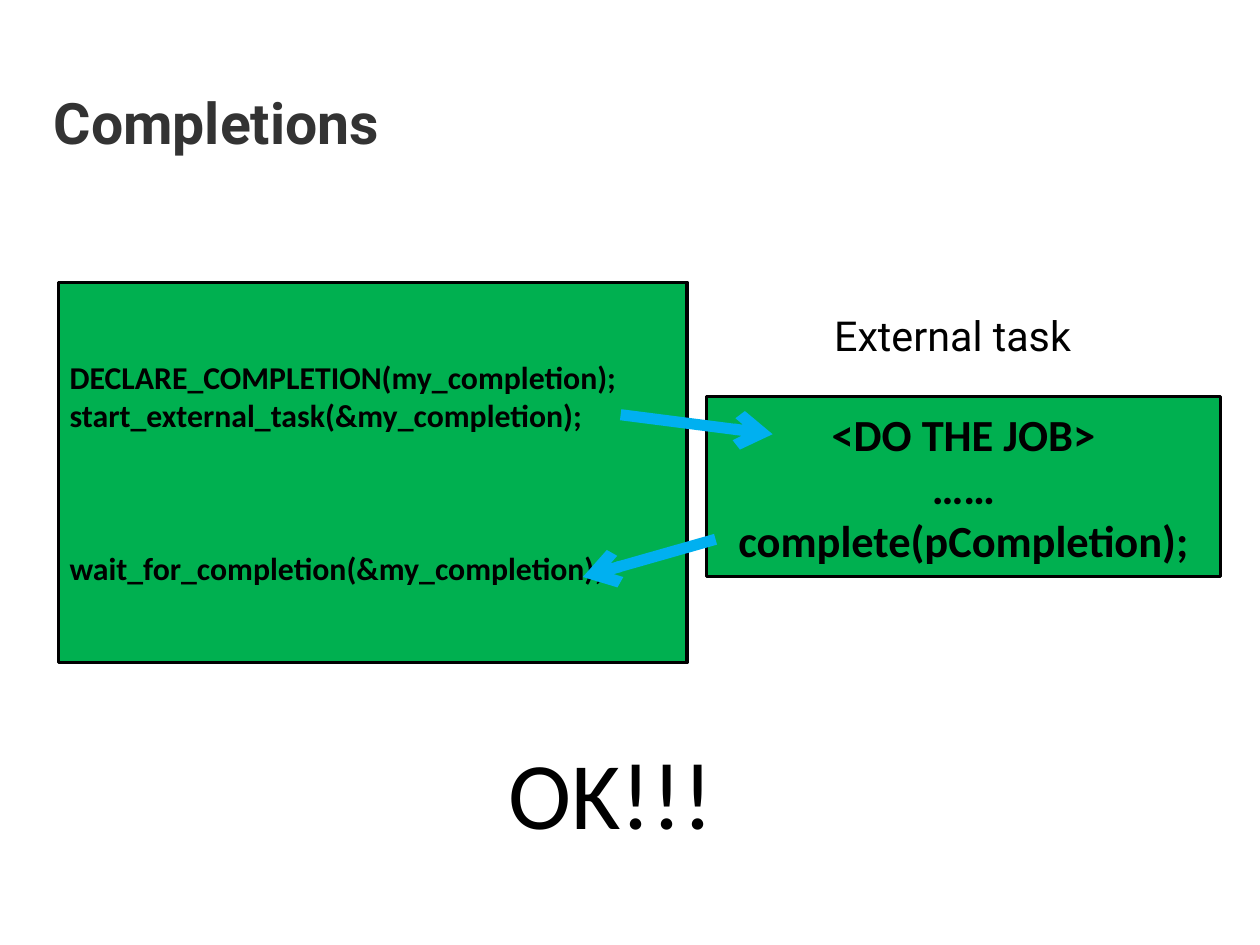
import pptx
import pptx.util
import pptx.dml.color
import pptx.enum.shapes
import pptx.enum.text
import pptx.oxml
import pptx.oxml.ns
from dataclasses import dataclass


@dataclass(frozen=True)
class Theme:
    ink: str = "000000"
    heading: str = "333333"
    task: str = "00B050"
    signal: str = "00B0F0"
    title_size: int = 36
    label_size: int = 26
    caller_size: int = 20
    worker_size: int = 28
    verdict_size: int = 60
    border: int = 2
    arrow: int = 7


theme = Theme()
rgb = pptx.dml.color.RGBColor.from_string
align = pptx.enum.text.PP_ALIGN
anchor = pptx.enum.text.MSO_ANCHOR

deck = pptx.Presentation()
deck.slide_width = pptx.util.Cm(28)
deck.slide_height = pptx.util.Cm(21)
column = deck.slide_width / 100
row = deck.slide_height / 100
page = deck.slides.add_slide(deck.slide_layouts[5])


def place(left, top, width, height):
    return int(left * column), int(top * row), int(width * column), int(height * row)


def write(box, lines, font, size, color, bold=False, alignment=align.LEFT,
          anchoring=anchor.MIDDLE, inset=True):
    frame = box.text_frame
    frame.word_wrap = True
    frame.auto_size = pptx.enum.text.MSO_AUTO_SIZE.NONE
    frame.vertical_anchor = anchoring
    if not inset:
        frame.margin_left = frame.margin_right = 0
        frame.margin_top = frame.margin_bottom = 0
    for number, line in enumerate(lines):
        para = frame.add_paragraph() if number else frame.paragraphs[0]
        para.alignment = alignment
        span = para.add_run()
        span.text = line
        span.font.name = font
        span.font.size = pptx.util.Pt(size)
        span.font.bold = bold
        span.font.color.rgb = rgb(color)


title = page.shapes.title
title.left, title.top, title.width, title.height = place(4.26, 8.59, 83.55, 8.59)
write(title, ["Completions"], "Roboto", theme.title_size, theme.heading, bold=True, inset=False)

label = page.shapes.add_textbox(*place(66.2, 32.85, 21.23, 6.89))
write(label, ["External task"], "Roboto", theme.label_size, theme.ink,
      anchoring=anchor.TOP, inset=False)

caller_lines = [
    "DECLARE_COMPLETION(my_completion);",
    "start_external_task(&my_completion);",
    "wait_for_completion(&my_completion);",
]
worker_lines = ["<DO THE JOB>", "……", "complete(pCompletion);"]
task_boxes = []
for area, lines, size, alignment in [
    ((4.63, 29.85, 49.9, 40.27), caller_lines, theme.caller_size, align.LEFT),
    ((56.06, 41.94, 40.8, 19.11), worker_lines, theme.worker_size, align.CENTER),
]:
    box = page.shapes.add_shape(pptx.enum.shapes.MSO_SHAPE.RECTANGLE, *place(*area))
    box.shadow.inherit = False
    box.fill.solid()
    box.fill.fore_color.rgb = rgb(theme.task)
    box.line.color.rgb = rgb(theme.ink)
    box.line.width = pptx.util.Pt(theme.border)
    write(box, lines, "Calibri", size, theme.ink, bold=True, alignment=alignment)
    task_boxes.append(box)

caller = task_boxes[0]
caller.text_frame.paragraphs[-1].space_before = pptx.util.Pt(3.6 * theme.caller_size)

verdict = page.shapes.add_textbox(*place(39.45, 77.15, 37.02, 13.42))
write(verdict, ["OK!!!"], "Calibri", theme.verdict_size, theme.ink, anchoring=anchor.TOP)

for ends in [(49.26, 43.89, 61.32, 45.95), (56.79, 57.07, 46.26, 61.06)]:
    arrow = page.shapes.add_connector(pptx.enum.shapes.MSO_CONNECTOR.STRAIGHT, *place(*ends))
    arrow.line.color.rgb = rgb(theme.signal)
    arrow.line.width = pptx.util.Pt(theme.arrow)
    head = pptx.oxml.parse_xml(f'<a:tailEnd {pptx.oxml.ns.nsdecls("a")} type="arrow"/>')
    arrow.line._get_or_add_ln().append(head)
    effects = pptx.oxml.parse_xml(f'<a:effectLst {pptx.oxml.ns.nsdecls("a")}/>')
    arrow._element.spPr.append(effects)

deck.save("out.pptx")
